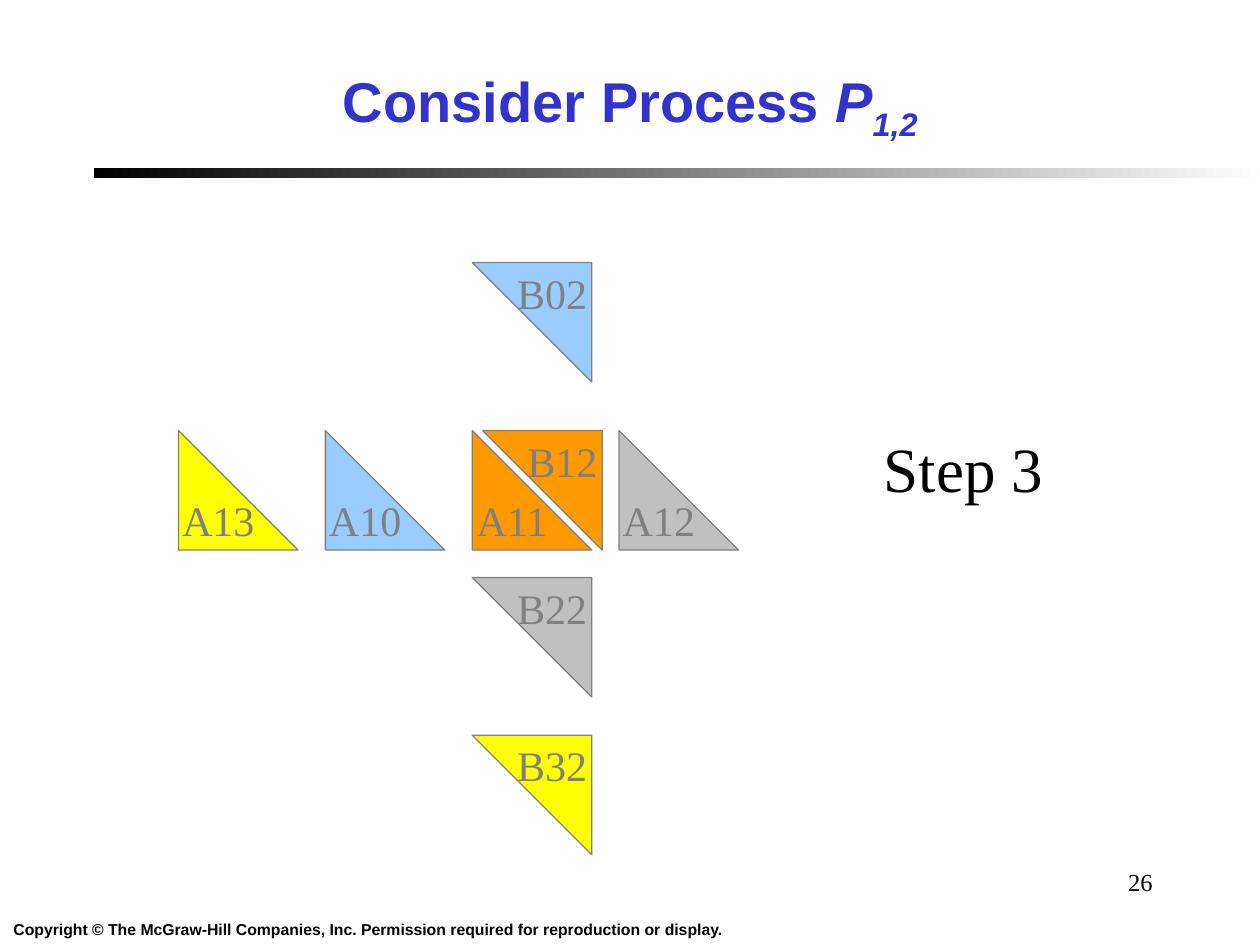
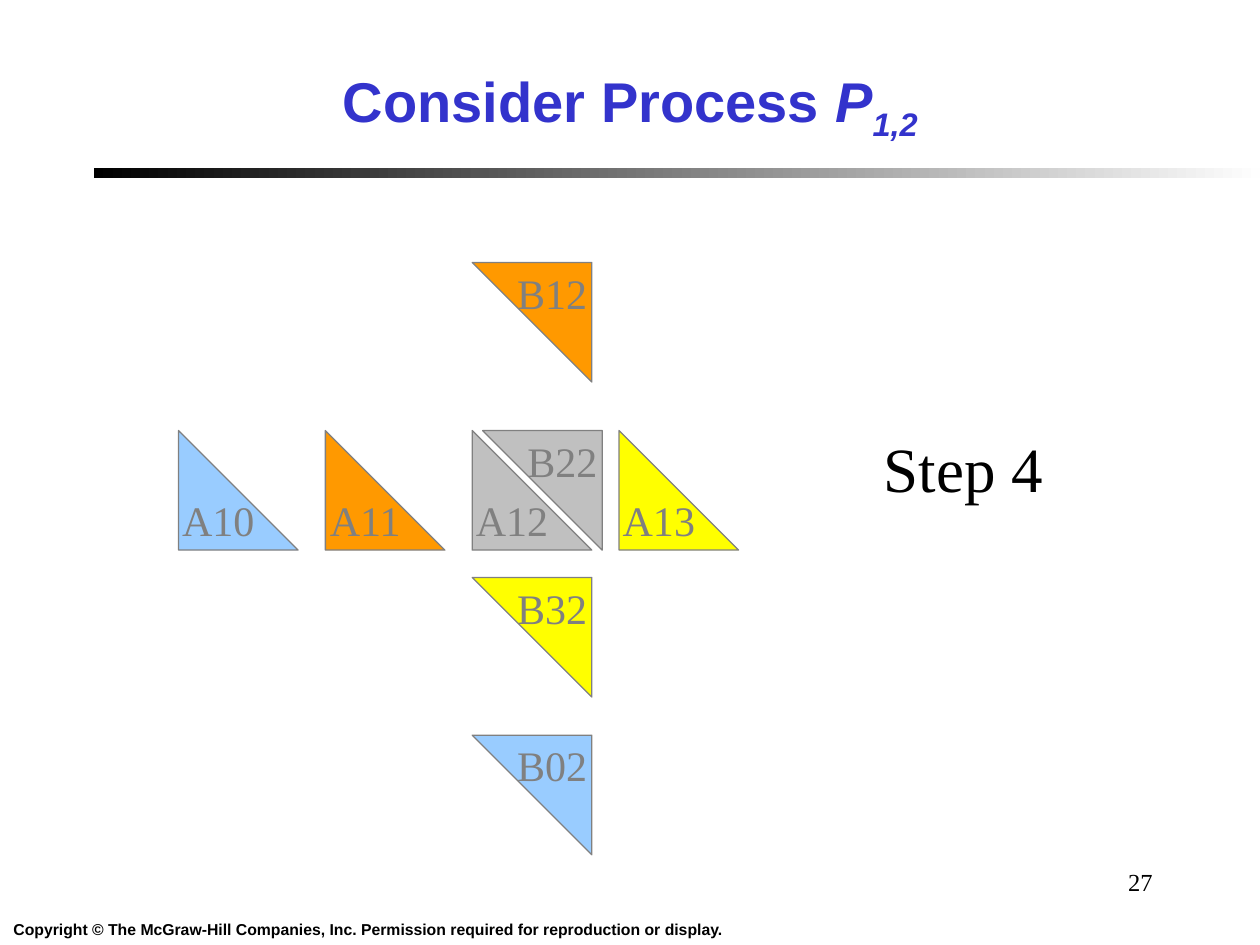
from pptx import Presentation
from pptx.dml.color import RGBColor
from pptx.enum.shapes import MSO_SHAPE
from pptx.enum.text import MSO_ANCHOR, MSO_AUTO_SIZE, PP_ALIGN
from pptx.util import Cm, Pt

LEFT, CENTER, RIGHT = PP_ALIGN.LEFT, PP_ALIGN.CENTER, PP_ALIGN.RIGHT
TOP, MIDDLE = MSO_ANCHOR.TOP, MSO_ANCHOR.MIDDLE
NO_FIT = MSO_AUTO_SIZE.NONE
RECTANGLE, TRIANGLE = MSO_SHAPE.RECTANGLE, MSO_SHAPE.RIGHT_TRIANGLE

COLORS = {
    "title": "3333CC", "text": "000000", "label": "808080",
    "band_start": "000000", "band_end": "FEFEFE",
    "blue": "99CCFF", "orange": "FF9900", "gray": "C0C0C0", "yellow": "FFFF00",
}
BLOCK_COLORS = ["blue", "orange", "gray", "yellow"]  # by inner index of the block
SANS, SERIF = "Arial", "Times New Roman"
COPYRIGHT = ("Copyright © The McGraw-Hill Companies, Inc. "
             "Permission required for reproduction or display.")

# Block diagram, in centimetres relative to its box
BLOCK = 2.41
COLUMN_PITCH = 2.96
ROW_TOPS = [0, 3.39, 6.35, 9.53]
MEETING = 2, 1  # column of A and row of B that meet in the process
PAIR_GAP = 0.21


def color(name):
    return RGBColor.from_string(COLORS[name])


def write_text(frame, text, size=24, font=SERIF, fill="text", bold=False, italic=False,
               baseline=0, align=LEFT, anchor=TOP, wrap=False):
    """Add a run to the first paragraph of a text frame and format it."""
    frame.word_wrap = wrap
    frame.auto_size = NO_FIT
    frame.vertical_anchor = anchor
    paragraph = frame.paragraphs[0]
    paragraph.alignment = align
    run = paragraph.add_run()
    run.text = text
    run.font.name, run.font.size = font, Pt(size)
    run.font.bold, run.font.italic = bold, italic
    run.font.color.rgb = color(fill)
    if baseline:
        run.font._element.set("baseline", str(baseline * 1000))


def add_text(slide, box, text, **text_format):
    text_box = slide.shapes.add_textbox(*map(Cm, box))
    write_text(text_box.text_frame, text, **text_format)


def add_title(slide, box):
    title = slide.shapes.title
    title.left, title.top, title.width, title.height = map(Cm, box)
    style = dict(size=32, font=SANS, fill="title", bold=True,
                 align=CENTER, anchor=MIDDLE, wrap=True)
    write_text(title.text_frame, "Consider Process ", **style)
    write_text(title.text_frame, "P", italic=True, **style)
    write_text(title.text_frame, "1,2", italic=True, baseline=-25, **style)


def add_band(slide, box):
    band = slide.shapes.add_shape(RECTANGLE, *map(Cm, box))
    band.shadow.inherit = False
    band.line.fill.background()
    band.fill.gradient()
    band.fill.gradient_angle = 0
    for stop, name in zip(band.fill.gradient_stops, ("band_start", "band_end")):
        stop.color.rgb = color(name)


def add_block(slide, left, top, label, fill, upper=False):
    """Draw a half-square block; an upper one is turned with its label upright."""
    block = slide.shapes.add_shape(TRIANGLE, Cm(left), Cm(top), Cm(BLOCK), Cm(BLOCK))
    block.shadow.inherit = False
    block.fill.solid()
    block.fill.fore_color.rgb = color(fill)
    block.line.color.rgb = color("label")
    block.line.width = Pt(0.75)
    write_text(block.text_frame, label, fill="label", align=CENTER, anchor=MIDDLE)
    if upper:
        block.rotation = 180
        block.element.txBody.bodyPr.set("rot", str(180 * 60000))


def add_block_diagram(slide, box, step):
    """Place the row of A blocks and the column of B blocks, rotated by the step."""
    left, top = box
    column, row = MEETING
    for i in range(4):
        index = (step + i) % 4
        add_block(slide, left + i * COLUMN_PITCH, top + ROW_TOPS[row],
                  f"A1{index}", BLOCK_COLORS[index])
    for i, row_top in enumerate(ROW_TOPS):
        index = (step + 1 + i) % 4
        shift = PAIR_GAP if i == row else 0
        add_block(slide, left + column * COLUMN_PITCH + shift, top + row_top,
                  f"B{index}2", BLOCK_COLORS[index], upper=True)


def add_step_slide(presentation, step, number):
    slide = presentation.slides.add_slide(presentation.slide_layouts[5])
    # Shared frame
    add_band(slide, (1.9, 3.39, 23.5, 0.2))
    add_text(slide, (0, 18.42, 14.83, 0.64), COPYRIGHT,
             size=9, font=SANS, bold=True, align=CENTER)
    add_title(slide, (0.64, 0.85, 24.13, 2.54))
    # Step content
    add_block_diagram(slide, (3.6, 5.29), step)
    add_text(slide, (17.57, 8.53, 3.7, 1.78), f"Step {step}", size=36)
    add_text(slide, (18.2, 17.36, 5.29, 1.27), str(number), size=14, align=RIGHT, wrap=True)


def main():
    presentation = Presentation()
    presentation.slide_width, presentation.slide_height = Cm(25.4), Cm(19.05)
    for step, number in ((3, 26), (4, 27)):
        add_step_slide(presentation, step, number)
    presentation.save("out.pptx")


if __name__ == "__main__":
    main()
